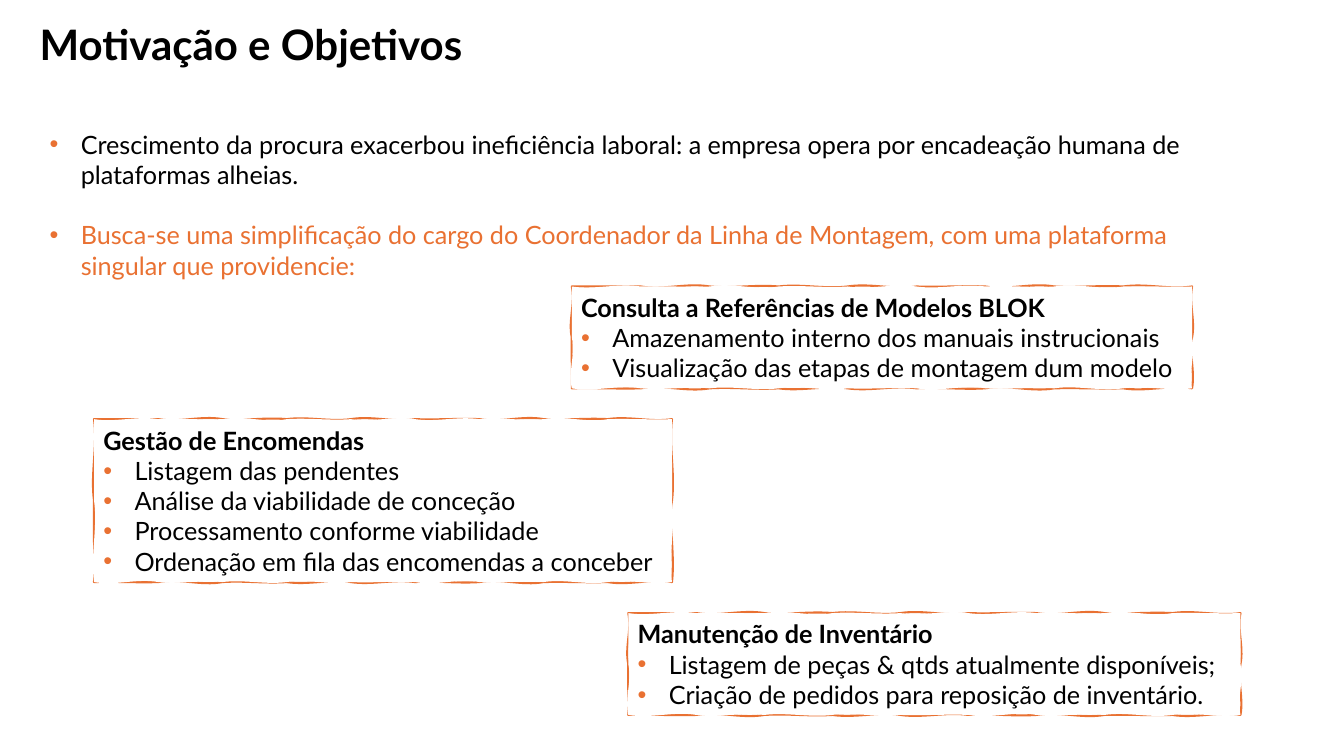
import copy
import math

import pptx
import pptx.dml.color
import pptx.enum.text
import pptx.oxml
import pptx.oxml.ns
import pptx.util

COLOURS = {"text": "000000", "accent": "E97132", "panel": "FFFFFF"}
FONT = "Lato"
SLIDE_WIDTH = pptx.util.Inches(13.33)
SLIDE_HEIGHT = pptx.util.Inches(7.5)
COLUMN = SLIDE_WIDTH / 100
ROW = SLIDE_HEIGHT / 100
TEXT_LINE = 4.04
PANEL_PADDING = 1.35
INDENT = pptx.util.Inches(0.31)
WAVE_LENGTH = pptx.util.Inches(0.65)
WAVE_SWING = pptx.util.Inches(0.04)
NAMESPACE = pptx.oxml.ns.nsdecls("a")

TITLE = "Motivação e Objetivos"
MOTIVATION = (
    "Crescimento da procura exacerbou ineficiência laboral: a empresa opera "
    "por encadeação humana de plataformas alheias."
)
GOAL = (
    "Busca-se uma simplificação do cargo do Coordenador da Linha de Montagem, "
    "com uma plataforma singular que providencie:"
)
FEATURES = [
    ((42.55, 37.9, 46.15), "Consulta a Referências de Modelos BLOK", [
        "Amazenamento interno dos manuais instrucionais",
        "Visualização das etapas de montagem dum modelo",
    ]),
    ((46.75, 81.1, 45.55), "Manutenção de Inventário", [
        "Listagem de peças & qtds atualmente disponíveis;",
        "Criação de pedidos para reposição de inventário.",
    ]),
    ((7, 55.45, 43), "Gestão de Encomendas", [
        "Listagem das pendentes",
        "Análise da viabilidade de conceção",
        "Processamento conforme viabilidade",
        "Ordenação em fila das encomendas a conceber",
    ]),
]


def rgb(name):
    return pptx.dml.color.RGBColor.from_string(COLOURS[name])


def grid_box(left, top, width, height):
    return (round(left * COLUMN), round(top * ROW),
            round(width * COLUMN), round(height * ROW))


def add_bullet(paragraph):
    properties = paragraph._p.get_or_add_pPr()
    properties.set("marL", str(INDENT))
    properties.set("indent", str(-INDENT))
    for markup in (
        f'<a:buClr {NAMESPACE}><a:srgbClr val="{COLOURS["accent"]}"/></a:buClr>',
        f'<a:buFont {NAMESPACE} typeface="Arial"/>',
        f'<a:buChar {NAMESPACE} char="•"/>',
    ):
        properties.append(pptx.oxml.parse_xml(markup))


def write(frame, text, size=18, colour="text", bold=False, bullet=False,
          first=False, before=0):
    paragraph = frame.paragraphs[0] if first else frame.add_paragraph()
    if bullet:
        add_bullet(paragraph)
    paragraph.alignment = pptx.enum.text.PP_ALIGN.LEFT
    if before:
        paragraph.space_before = pptx.util.Pt(before)
    run = paragraph.add_run()
    run.text = text
    run.font.name = FONT
    run.font.size = pptx.util.Pt(size)
    run.font.bold = bold
    run.font.color.rgb = rgb(colour)


def wavy_outline(left, top, width, height, phase):
    corners = [(left, top), (left + width, top),
               (left + width, top + height), (left, top + height)]
    points = [corners[0]]
    for side, (x, y) in enumerate(corners):
        end_x, end_y = corners[(side + 1) % 4]
        length = abs(end_x - x) + abs(end_y - y)
        across, down = (end_x - x) / length, (end_y - y) / length
        waves = round(length / WAVE_LENGTH)
        for wave in range(waves):
            swing = WAVE_SWING * math.sin(1.3 * wave + phase + side)
            for third, offset in ((1, swing), (2, -swing), (3, 0)):
                along = length * (wave + third / 3) / waves
                points.append((round(x + across * along - down * offset),
                               round(y + down * along + across * offset)))
    return points


def curve_segments(outline):
    segments = outline.findall(pptx.oxml.ns.qn("a:lnTo"))
    for start in range(0, len(segments), 3):
        curve = pptx.oxml.parse_xml(f"<a:cubicBezTo {NAMESPACE}/>")
        segments[start].addprevious(curve)
        for segment in segments[start:start + 3]:
            curve.append(segment[0])
            outline.remove(segment)


def add_sketched_panel(slide, box):
    border = wavy_outline(*box, phase=0)
    interior = wavy_outline(*box, phase=2)
    builder = slide.shapes.build_freeform(*border[0])
    builder.add_line_segments(border[1:], close=True)
    builder.move_to(*interior[0])
    builder.add_line_segments(interior[1:], close=True)
    panel = builder.convert_to_shape()

    border_path = panel._element.find(".//" + pptx.oxml.ns.qn("a:path"))
    interior_path = copy.deepcopy(border_path)
    half = len(border_path) // 2
    for segment in list(border_path)[half:]:
        border_path.remove(segment)
    for segment in list(interior_path)[:half]:
        interior_path.remove(segment)
    border_path.set("fill", "none")
    interior_path.set("stroke", "0")
    border_path.addnext(interior_path)
    for outline in (border_path, interior_path):
        curve_segments(outline)

    panel.shadow.inherit = False
    panel.fill.solid()
    panel.fill.fore_color.rgb = rgb("panel")
    panel.line.color.rgb = rgb("accent")
    panel.line.width = pptx.util.Pt(1.5)
    return panel


def add_title(slide, box):
    title = slide.shapes.title
    title.left, title.top, title.width, title.height = box
    frame = title.text_frame
    frame.auto_size = pptx.enum.text.MSO_AUTO_SIZE.NONE
    frame.vertical_anchor = pptx.enum.text.MSO_ANCHOR.MIDDLE
    write(frame, TITLE, size=30, bold=True, first=True)


def add_motivation(slide, box):
    frame = slide.shapes.add_textbox(*box).text_frame
    frame.word_wrap = True
    write(frame, MOTIVATION, bullet=True, first=True)
    write(frame, GOAL, colour="accent", bullet=True, before=21.6)


def add_feature(slide, box, heading, items):
    frame = add_sketched_panel(slide, box).text_frame
    frame.word_wrap = True
    frame.vertical_anchor = pptx.enum.text.MSO_ANCHOR.MIDDLE
    frame.margin_left = pptx.util.Inches(0.13)
    frame.margin_right = pptx.util.Inches(0.05)
    write(frame, heading, bold=True, first=True)
    for item in items:
        write(frame, item, bullet=True)


def main():
    presentation = pptx.Presentation()
    presentation.slide_width = SLIDE_WIDTH
    presentation.slide_height = SLIDE_HEIGHT
    slide = presentation.slides.add_slide(presentation.slide_layouts[5])
    add_title(slide, grid_box(2.2, 1.75, 95.6, 8.1))
    add_motivation(slide, grid_box(2.95, 16.4, 89.35, 21.6))
    for (left, top, width), heading, items in FEATURES:
        height = TEXT_LINE * (len(items) + 1) + PANEL_PADDING
        add_feature(slide, grid_box(left, top, width, height), heading, items)
    presentation.save("out.pptx")


if __name__ == "__main__":
    main()
